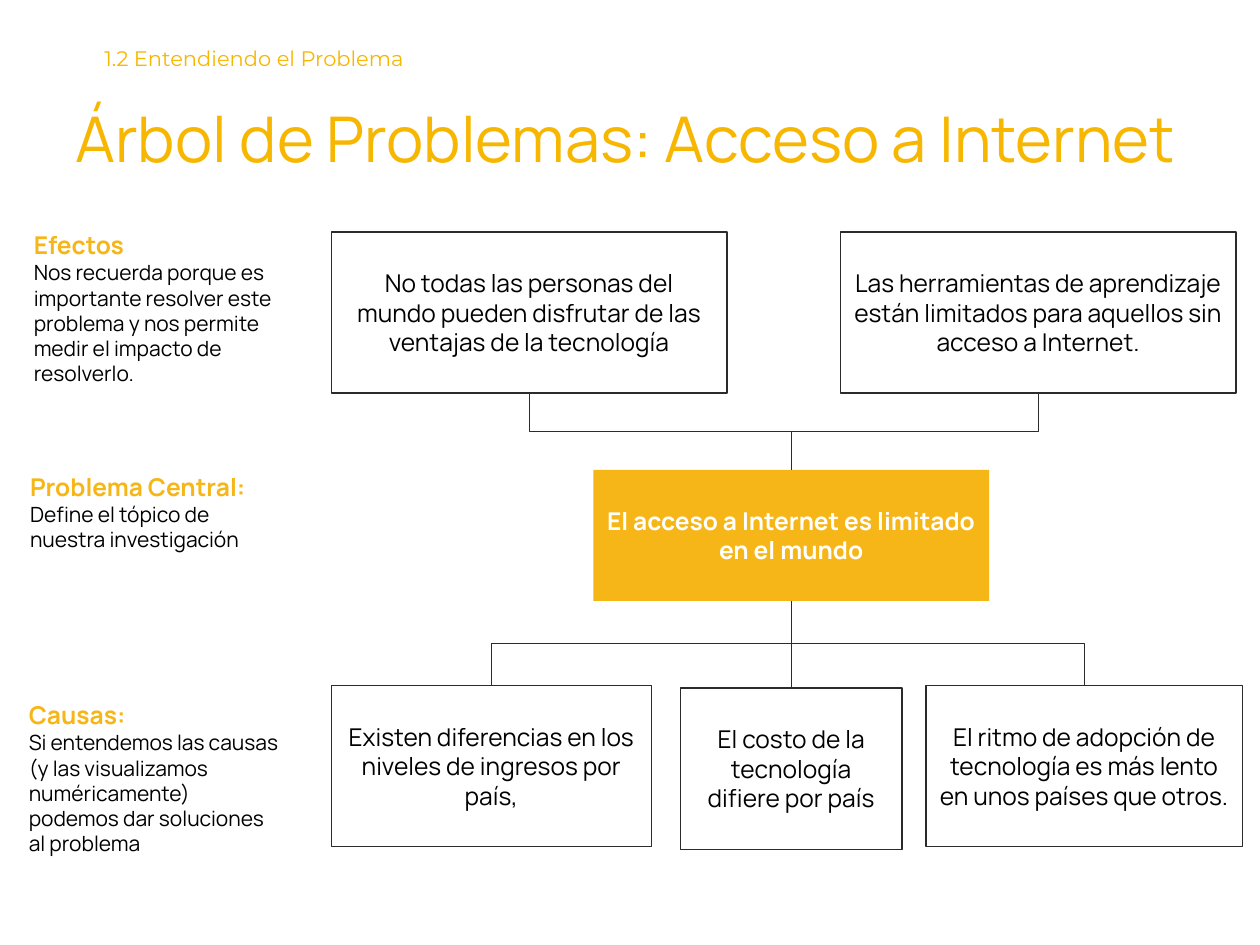
from pptx import Presentation
from pptx.dml.color import RGBColor
from pptx.enum.shapes import MSO_CONNECTOR as CONN, MSO_SHAPE as SHAPE
from pptx.enum.text import MSO_ANCHOR as ANCHOR, PP_ALIGN as ALIGN
from pptx.oxml import parse_xml
from pptx.oxml.ns import nsdecls
from pptx.util import Inches, Pt

GOLD = RGBColor(0xF7, 0xB6, 0x00)
AMBER = RGBColor(0xF7, 0xB6, 0x17)
DARK = RGBColor(0x2B, 0x2B, 0x2B)
BLACK = RGBColor(0, 0, 0)
WHITE = RGBColor(0xFF, 0xFF, 0xFF)

TOP, BOTTOM = 0, 2  # connection sites of a rectangle


def add_text(p, text, size=14, color=BLACK, font="Manrope", bold=False, align=ALIGN.LEFT):
    p.alignment = align
    r = p.add_run()
    r.text = text
    r.font.name, r.font.size, r.font.bold = font, Pt(size), bold
    r.font.color.rgb = color


def add_text_box(s, box, anchor=ANCHOR.TOP):
    tf = s.shapes.add_textbox(*map(Inches, box)).text_frame
    tf.word_wrap = True
    tf.vertical_anchor = anchor
    return tf


def add_header(s, section_box, title_box):
    tf = add_text_box(s, section_box, ANCHOR.MIDDLE)
    add_text(tf.paragraphs[0], "1.2 Entendiendo el Problema", size=12, color=GOLD,
             font="Montserrat")
    tf = add_text_box(s, title_box)
    add_text(tf.paragraphs[0], "Árbol de Problemas: Acceso a Internet", size=36, color=GOLD)


def add_label(s, box, heading, body):
    tf = add_text_box(s, box)
    add_text(tf.paragraphs[0], heading, color=AMBER, bold=True)
    add_text(tf.add_paragraph(), body, size=12)


def add_node(s, box, text, central=False):
    sp = s.shapes.add_shape(SHAPE.RECTANGLE, *map(Inches, box))
    sp.shadow.inherit = False
    if central:
        sp.fill.solid()
        sp.fill.fore_color.rgb = AMBER
        sp.line.fill.background()
    else:
        sp.fill.background()
        sp.line.color.rgb = DARK
        sp.line.width = Pt(0.75)
    tf = sp.text_frame
    tf.word_wrap = True
    tf.vertical_anchor = ANCHOR.MIDDLE
    add_text(tf.paragraphs[0], text, color=WHITE if central else BLACK, bold=central,
             align=ALIGN.CENTER)
    return sp


def join(s, upper, lower):
    """Connect the bottom of upper to the top of lower."""
    x1, y1 = upper.left + upper.width // 2, upper.top + upper.height
    x2, y2 = lower.left + lower.width // 2, lower.top
    straight = abs(x2 - x1) < Inches(0.01)
    c = s.shapes.add_connector(CONN.STRAIGHT if straight else CONN.ELBOW, x1, y1, x2, y2)
    c.begin_connect(upper, BOTTOM)
    c.end_connect(lower, TOP)
    c.line.color.rgb = DARK
    c.line.width = Pt(0.75)
    sp_pr = c._element.spPr
    sp_pr.append(parse_xml(f"<a:effectLst {nsdecls('a')}/>"))
    if not straight:
        # Quarter turn, so that the elbow leaves and arrives vertically
        w, h = y2 - y1, abs(x2 - x1)
        c.left, c.top = (x1 + x2 - w) // 2, (y1 + y2 - h) // 2
        c.width, c.height = w, h
        xfrm = sp_pr.find("{*}xfrm")
        xfrm.set("rot", "5400000")
        xfrm.set("flipH", "0")
        xfrm.set("flipV", "1" if x2 > x1 else "0")


def add_tree(s, effects, problem, causes):
    center = add_node(s, *problem, central=True)
    for box, text in effects:
        join(s, add_node(s, box, text), center)
    for box, text in causes:
        join(s, center, add_node(s, box, text))


def main():
    prs = Presentation()
    prs.slide_width, prs.slide_height = Inches(10), Inches(7.5)
    s = prs.slides.add_slide(prs.slide_layouts[6])

    # Header
    add_header(s, (0.73, 0.23, 5.68, 0.47), (0.5, 0.74, 9.09, 0.71))

    # Explanations on the left
    add_label(s, (0.17, 1.78, 2.17, 1.35), "Efectos",
              "Nos recuerda porque es importante resolver este problema y nos permite "
              "medir el impacto de resolverlo.")
    add_label(s, (0.14, 3.7, 2.17, 0.74), "Problema Central:",
              "Define el tópico de nuestra investigación")
    add_label(s, (0.13, 5.51, 2.18, 1.55), "Causas:",
              "Si entendemos las causas (y las visualizamos numéricamente) podemos dar "
              "soluciones al problema")

    # Problem tree
    add_tree(
        s,
        effects=[
            ((2.63, 1.84, 3.14, 1.28),
             "No todas las personas del mundo pueden disfrutar de las ventajas de la tecnología"),
            ((6.67, 1.84, 3.14, 1.28),
             "Las herramientas de aprendizaje están limitados para aquellos sin acceso a Internet."),
        ],
        problem=((4.71, 3.73, 3.14, 1.04), "El acceso a Internet es limitado en el mundo"),
        causes=[
            ((2.63, 5.44, 2.54, 1.28), "Existen diferencias en los niveles de ingresos por país,"),
            ((5.4, 5.46, 1.76, 1.28), "El costo de la tecnología difiere por país"),
            ((7.35, 5.44, 2.51, 1.28),
             "El ritmo de adopción de tecnología es más lento en unos países que otros."),
        ],
    )
    prs.save("out.pptx")


if __name__ == "__main__":
    main()
